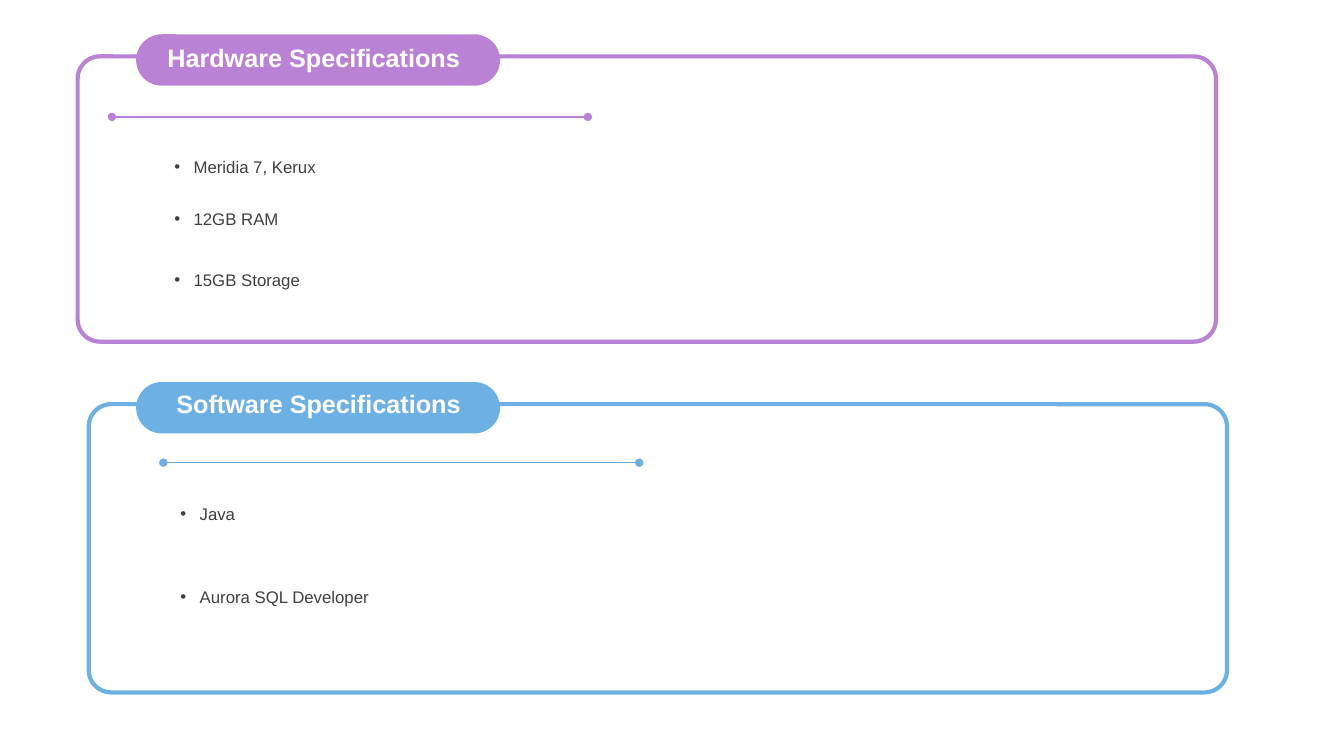
"""Build a slide with two framed panels of hardware and software specifications."""
from lxml.etree import SubElement
from pptx import Presentation
from pptx.dml.color import RGBColor as Color
from pptx.enum.shapes import MSO_CONNECTOR as Connector, MSO_SHAPE as Shape
from pptx.enum.text import MSO_ANCHOR as Anchor, MSO_AUTO_SIZE as AutoSize, PP_ALIGN as Align
from pptx.oxml.ns import qn
from pptx.util import Inches, Pt

COLORS = {"purple": "B982D5", "blue": "6DB0E4", "white": "FFFFFF", "text": "404040"}
PANELS = [
    {"heading": "Hardware Specifications", "color": "purple", "holders": (0, 2),
     "frame": (0.77, 0.56, 2.83), "heading_at": (1.56, 0.37), "rule_at": (1.11, 1.16),
     "list_at": (1.63, 1.5),
     "items": [("Meridia 7, Kerux", 0), ("12GB RAM", 0.51), ("15GB Storage", 0.6)]},
    {"heading": "Software Specifications", "color": "blue", "holders": (3, 4),
     "frame": (0.88, 4.01, 2.86), "heading_at": (1.65, 3.8), "rule_at": (1.62, 4.59),
     "list_at": (1.69, 4.95),
     "items": [("Java", 0), ("Aurora SQL Developer", 0.81)]},
]
WIDTH, HEIGHT = 13.33, 7.5
FRAME_WIDTH, FRAME_ROUNDING = 11.29, 0.078
PILL_LEFT, PILL_RISE, PILL_WIDTH, PILL_HEIGHT = 1.35, 0.22, 3.61, 0.51
RULE_LENGTH, LIST_WIDTH, LIST_HEIGHT = 4.72, 5.69, 1.5
BULLET_INDENT, ITEM_SIZE, LINE_HEIGHT = 0.19, 12, 13.8


def paint(name):
    return Color.from_string(COLORS[name])


def add_round_box(page, bounds, rounding, fill):
    box = page.shapes.add_shape(Shape.ROUNDED_RECTANGLE, *map(Inches, bounds))
    box.adjustments[0] = rounding
    box.shadow.inherit = False
    box.fill.solid()
    box.fill.fore_color.rgb = paint(fill)
    box.line.fill.background()
    return box


def add_frame(page, bounds, color):
    box = add_round_box(page, bounds, FRAME_ROUNDING, "white")
    box.line.color.rgb = paint(color)
    box.line.width = Pt(3)
    tint = box.fill._xPr.find(qn("a:solidFill"))[0]
    SubElement(tint, qn("a:alpha"), val="50000")


def add_rule(page, left, top, color):
    rule = page.shapes.add_connector(
        Connector.STRAIGHT, *map(Inches, (left, top, left + RULE_LENGTH, top)))
    rule.line.color.rgb = paint(color)
    rule.line.width = Pt(1)
    for end in ("a:headEnd", "a:tailEnd"):
        SubElement(rule.line._get_or_add_ln(), qn(end), type="oval")
    SubElement(rule._element.spPr, qn("a:effectLst"))


def write(page, holder, lines, bounds, size, color, bold=False, bullet=False):
    page.shapes._spTree.append(holder._element)
    holder.left, holder.top, holder.width, holder.height = map(Inches, bounds)
    frame = holder.text_frame
    frame.text = "\n".join(text for text, _ in lines)
    frame.word_wrap = True
    frame.auto_size = AutoSize.NONE
    frame.vertical_anchor = Anchor.TOP
    for para, (_, pitch) in zip(frame.paragraphs, lines):
        para.alignment = Align.LEFT
        para.line_spacing = 1.0
        para.space_before = Pt(max(0, pitch * 72 - LINE_HEIGHT))
        para.space_after = Pt(0)
        if bullet:
            settings = para._p.get_or_add_pPr()
            settings.set("marL", str(Inches(BULLET_INDENT)))
            settings.set("indent", str(-Inches(BULLET_INDENT)))
            SubElement(settings, qn("a:buFont"), typeface="Arial")
            SubElement(settings, qn("a:buChar"), char="•")
        for span in para.runs:
            span.font.name = "Arial"
            span.font.size = Pt(size)
            span.font.bold = bold
            span.font.color.rgb = paint(color)


def add_panel(page, holders, panel):
    left, top, height = panel["frame"]
    color = panel["color"]
    heading, items = (holders[index] for index in panel["holders"])
    add_frame(page, (left, top, FRAME_WIDTH, height), color)
    add_round_box(page, (PILL_LEFT, top - PILL_RISE, PILL_WIDTH, PILL_HEIGHT), 0.5, color)
    add_rule(page, *panel["rule_at"], color)
    write(page, heading, [(panel["heading"], 0)], (*panel["heading_at"], 3.42, 0.4),
          size=18, color="white", bold=True)
    write(page, items, panel["items"], (*panel["list_at"], LIST_WIDTH, LIST_HEIGHT),
          size=ITEM_SIZE, color="text", bullet=True)


def main():
    deck = Presentation()
    deck.slide_width, deck.slide_height = Inches(WIDTH), Inches(HEIGHT)
    page = deck.slides.add_slide(deck.slide_layouts.get_by_name("Comparison"))
    holders = {holder.placeholder_format.idx: holder for holder in page.placeholders}
    for panel in PANELS:
        add_panel(page, holders, panel)
    unused = holders[1]._element
    unused.getparent().remove(unused)
    deck.save("out.pptx")


if __name__ == "__main__":
    main()
